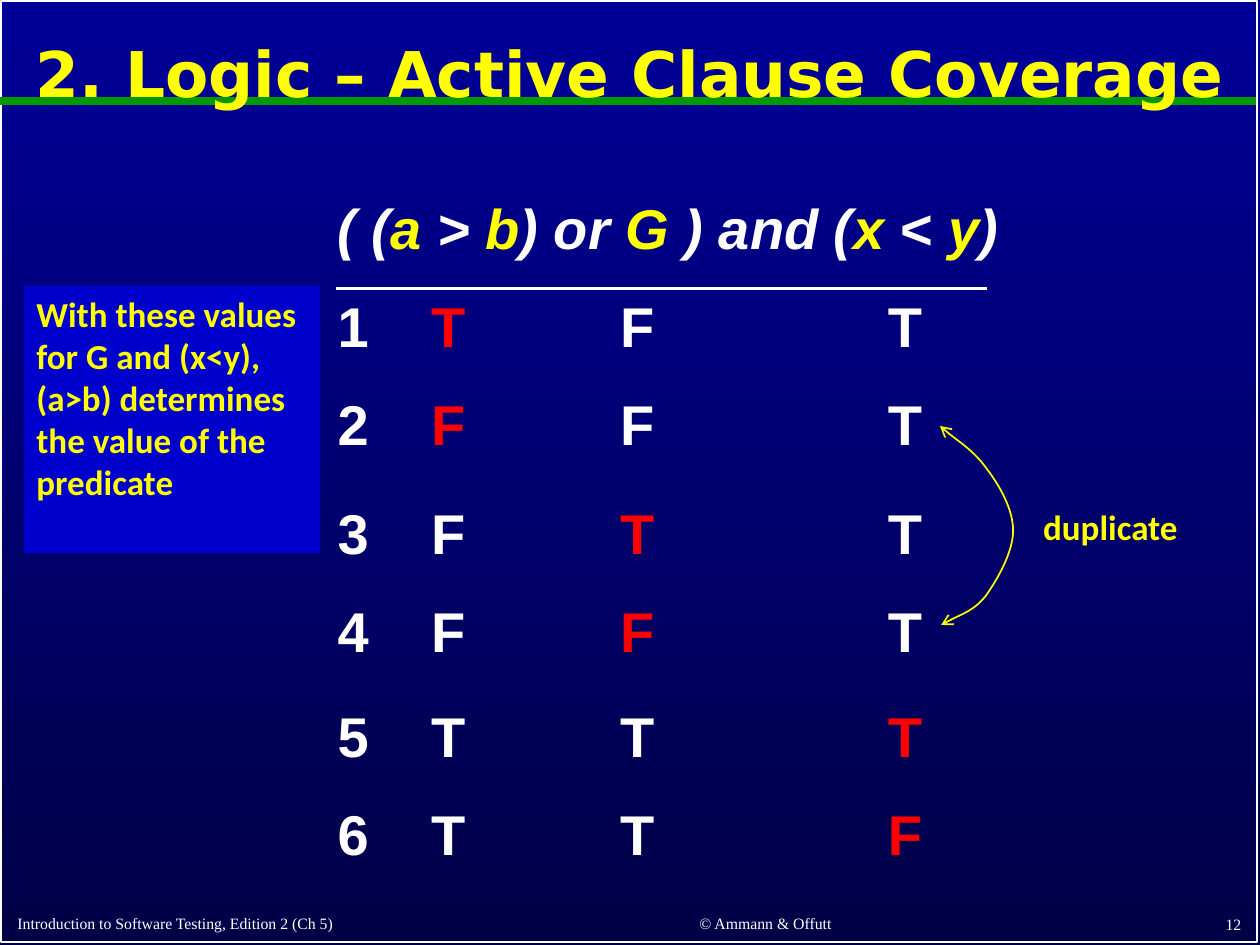
from lxml import etree
from pptx import Presentation
from pptx import util as u
from pptx.dml import color
from pptx.enum import shapes, text
from pptx.oxml import ns

WHITE, YELLOW, RED = "FFFFFF", "FFFF00", "FF0000"
LEFT, CENTER, RIGHT = text.PP_ALIGN.LEFT, text.PP_ALIGN.CENTER, text.PP_ALIGN.RIGHT
TOP, MIDDLE, BOTTOM = text.MSO_ANCHOR.TOP, text.MSO_ANCHOR.MIDDLE, text.MSO_ANCHOR.BOTTOM
COLUMN_TABS = (53.5, 161.5, 314.5)


def rgb(value):
    """Turn a hex string into a colour."""
    return color.RGBColor.from_string(value)


def points(*values):
    """Turn numbers into lengths in points."""
    return [u.Pt(value) for value in values]


def child(parent, tag, **attributes):
    """Append a drawing element to a parent element."""
    return etree.SubElement(parent, ns.qn(tag), **attributes)


def set_background(page, first, last):
    """Fill the page with a gradient running downwards."""
    fill = page.background.fill
    fill.gradient()
    fill.gradient_angle = 270
    for stop, value in zip(fill.gradient_stops, (first, last)):
        stop.color.rgb = rgb(value)


def set_line(shape, value, width):
    """Give a shape or connector its line."""
    shape.line.color.rgb = rgb(value)
    shape.line.width = u.Pt(width)


def style_span(span, font, size, value, bold=True, italic=False):
    """Set the font of one run."""
    span.font.name = font
    span.font.size = u.Pt(size)
    span.font.color.rgb = rgb(value)
    span.font.bold = bold
    span.font.italic = italic


def add_box(page, place):
    """Add an empty wrapping text box."""
    box = page.shapes.add_textbox(*points(*place))
    box.text_frame.word_wrap = True
    return box


def write(box, words, font, size, value, bold=True, align=LEFT, anchor=TOP):
    """Write one paragraph in one style into a shape."""
    frame = box.text_frame
    frame.text = words
    frame.vertical_anchor = anchor
    para = frame.paragraphs[0]
    para.alignment = align
    style_span(para.runs[0], font, size, value, bold)
    return para


def add_rectangle(page, place):
    """Add a rectangle without fill, line or shadow."""
    shape = page.shapes.add_shape(shapes.MSO_SHAPE.RECTANGLE, *points(*place))
    shape.shadow.inherit = False
    shape.fill.background()
    shape.line.fill.background()
    return shape


def add_rule(page, left, right, top, value, width):
    """Add a horizontal line."""
    rule = page.shapes.add_connector(
        shapes.MSO_CONNECTOR.STRAIGHT, *points(left, top, right, top))
    set_line(rule, value, width)
    child(rule.element.spPr, "a:effectLst")


def add_curve(page, start, nodes, value, width):
    """Add a Bezier curve with an open arrowhead at both ends."""
    builder = page.shapes.build_freeform(*start, scale=u.Pt(1) / 100)
    builder.add_line_segments(nodes, close=False)
    curve = builder.convert_to_shape()
    curve.shadow.inherit = False
    curve.fill.background()
    set_line(curve, value, width)
    for end in ("a:headEnd", "a:tailEnd"):
        child(curve.line._get_or_add_ln(), end, type="arrow")
    outline = next(curve.element.iter(ns.qn("a:path")))
    segments = outline.findall(ns.qn("a:lnTo"))
    for index in range(0, len(segments), 3):
        bezier = child(outline, "a:cubicBezTo")
        for segment in segments[index:index + 3]:
            bezier.append(segment[0])
            outline.remove(segment)


def add_formula(frame):
    """Write the predicate with its variables highlighted."""
    pieces = ("( (", "a", " > ", "b", ") or ", "G", " ) and (", "x", " < ", "y", ")")
    for piece in pieces:
        span = frame.paragraphs[0].add_run()
        span.text = piece
        style_span(span, "Arial", 32, YELLOW if piece.isalpha() else WHITE, italic=True)


def add_row(para, number, values, active):
    """Write one numbered row of truth values on tab stops."""
    tabs = child(para._p.get_or_add_pPr(), "a:tabLst")
    for stop in COLUMN_TABS:
        child(tabs, "a:tab", pos=str(u.Pt(stop)), algn="l")
    for column, word in enumerate((str(number), *values)):
        span = para.add_run()
        span.text = f"\t{word}" if column else word
        style_span(span, "Arial", 32, RED if column == active else WHITE)


def add_truth_rows(page):
    """Add the predicate and the three pairs of tests."""
    groups = (((185.8, 107.3, 396, 160.6), ("TFT", "FFT")),
              ((185.8, 281.5, 378, 103), ("FTT", "FFT")),
              ((185.8, 397.4, 378, 103), ("TTT", "TTF")))
    for active, (place, rows) in enumerate(groups, 1):
        frame = add_box(page, place).text_frame
        if active == 1:
            add_formula(frame)
        for offset, values in enumerate(rows):
            first = offset == 0 and active > 1
            para = frame.paragraphs[0] if first else frame.add_paragraph()
            para.space_before = u.Pt(0 if first else 17.5)
            add_row(para, 2 * active - 1 + offset, values, active)


def add_footers(page):
    """Add the three footer texts."""
    footers = (
        ("Introduction to Software Testing, Edition 2 (Ch 5)", (2.9, 517, 302.4, 19.4), LEFT),
        ("© Ammann & Offutt", (323.3, 516.2, 228.2, 20.2), CENTER),
        ("12", (566.6, 516.2, 149.8, 20.9), RIGHT))
    for words, place, align in footers:
        write(add_box(page, place), words, "Times New Roman", 9, WHITE, False, align, BOTTOM)


def main():
    """Build and save the slide."""
    deck = Presentation()
    deck.slide_width, deck.slide_height = points(720, 540)
    page = deck.slides.add_slide(deck.slide_layouts[6])
    set_background(page, "000099", "000047")
    set_line(add_rectangle(page, (0.7, 0.7, 717.8, 537.8)), WHITE, 1)
    add_rule(page, 0, 717.8, 57.6, "009900", 4.5)
    add_footers(page)
    title = write(add_box(page, (3.6, 7.9, 712.8, 72)), "2. Logic – Active Clause Coverage",
                  "DejaVu Sans", 36, YELLOW, align=CENTER, anchor=MIDDLE)
    title.line_spacing = 0.9
    add_truth_rows(page)
    add_rule(page, 192.2, 563.8, 164.9, WHITE, 1.5)
    curve = ((541.4, 247.7), (556.6, 257.8), (563.8, 267.8),
             (571, 277.2), (578.9, 290.9), (578.9, 303.1),
             (578.9, 315.4), (570.2, 330.5), (563.8, 339.8),
             (557.3, 348.5), (543.6, 353.5), (537.8, 357.1))
    add_curve(page, (53710, 24340), [(round(x * 100), round(y * 100)) for x, y in curve],
              "FAFD00", 1)
    write(add_box(page, (589, 285.1, 109.4, 31.7)), "duplicate", "Calibri", 20, YELLOW)
    note = add_rectangle(page, (13.7, 163.4, 169.2, 152.6))
    note.fill.solid()
    note.fill.fore_color.rgb = rgb("0000CC")
    write(note, "With these values for G and (x<y), (a>b) determines the value of the predicate",
          "Calibri", 20, YELLOW)
    deck.save("out.pptx")


if __name__ == "__main__":
    main()
